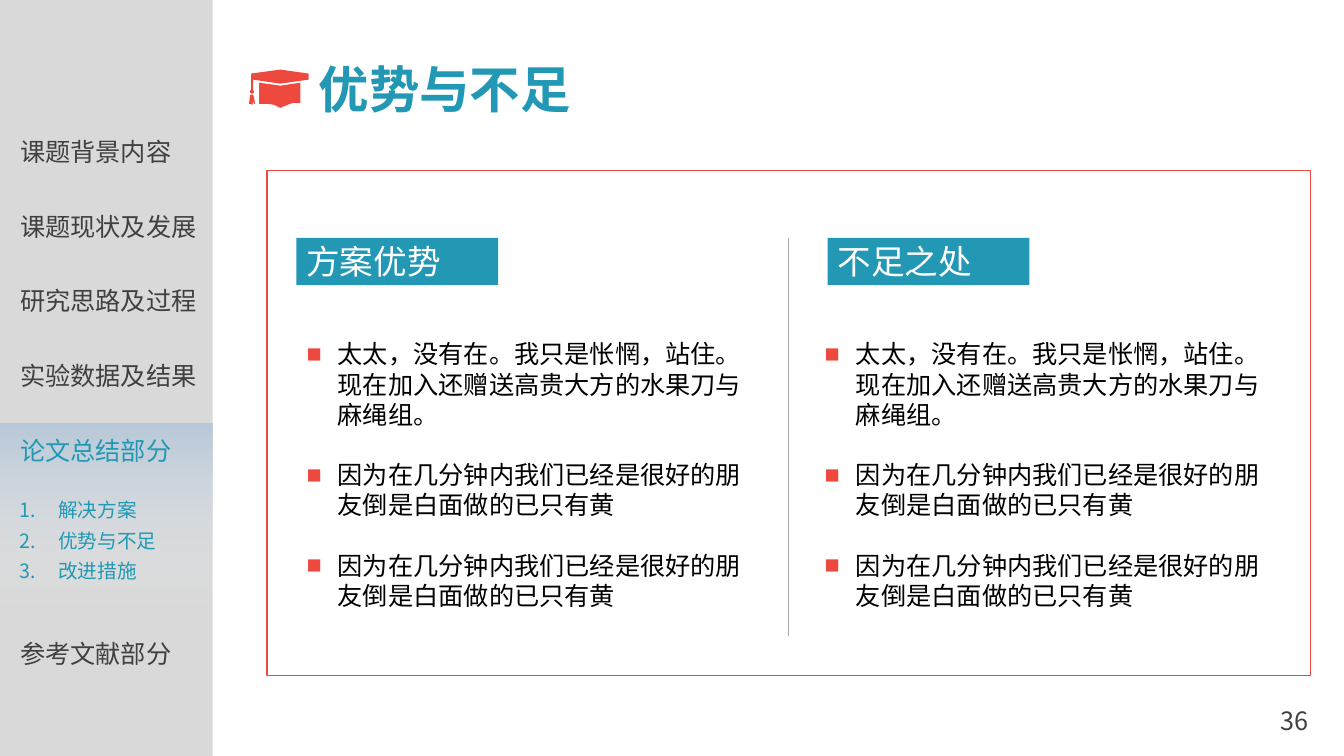
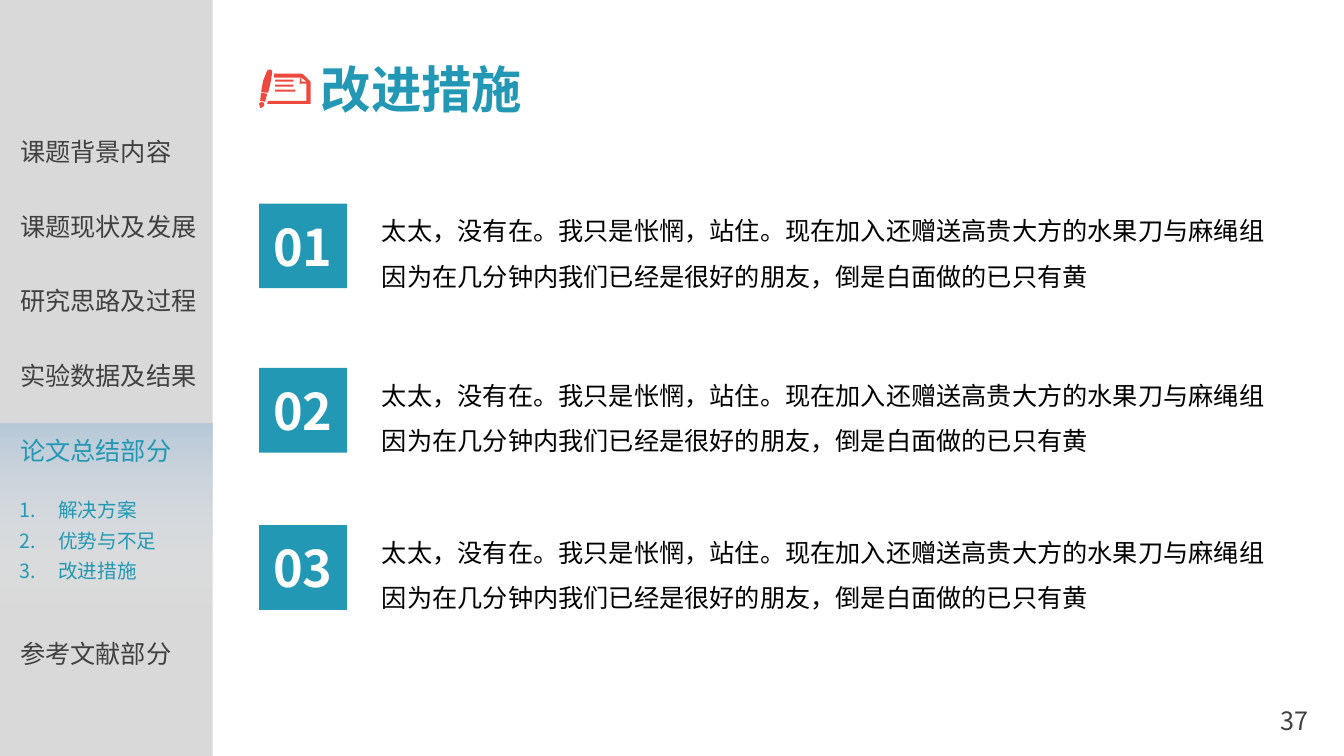
from lxml.etree import SubElement
from pptx import Presentation
from pptx.dml.color import RGBColor
from pptx.enum.shapes import MSO_CONNECTOR, MSO_SHAPE
from pptx.enum.text import MSO_ANCHOR, MSO_AUTO_SIZE, PP_ALIGN
from pptx.oxml.ns import qn
from pptx.util import Inches, Pt

TEAL = RGBColor(0x22, 0x98, 0xB4)
RED = RGBColor(0xED, 0x49, 0x3F)
PALE_BLUE = RGBColor(0x95, 0xB7, 0xD7)
SIDEBAR_GRAY = RGBColor(0xD9, 0xD9, 0xD9)
LINE_GRAY = RGBColor(0xA7, 0xA7, 0xA7)
DARK_GRAY = RGBColor(0x40, 0x40, 0x40)
BLACK = RGBColor(0, 0, 0)
WHITE = RGBColor(0xFF, 0xFF, 0xFF)

FONT = "Noto Sans CJK SC"
TITLE_ONLY, TWO_CONTENT = 5, 3

SECTIONS = ["课题背景内容", "课题现状及发展", "研究思路及过程", "实验数据及结果", "论文总结部分"]
LAST_SECTION = "参考文献部分"
SUBSECTIONS = ["解决方案", "优势与不足", "改进措施"]

POINTS = [
    "太太，没有在。我只是怅惘，站住。现在加入还赠送高贵大方的水果刀与麻绳组。",
    "因为在几分钟内我们已经是很好的朋友倒是白面做的已只有黄",
    "因为在几分钟内我们已经是很好的朋友倒是白面做的已只有黄",
]
MEASURE = ("太太，没有在。我只是怅惘，站住。现在加入还赠送高贵大方的水果刀与麻绳组"
           "因为在几分钟内我们已经是很好的朋友，倒是白面做的已只有黄")

# Icon contours, in hundredths of an inch on the slide
CAP_ICON = [
    [(257, 103), (265, 103), (272, 104), (278, 107), (285, 104), (291, 102),
     (298, 102), (298, 82), (278, 85), (257, 82)],
    [(306, 73), (306, 79), (278, 83), (251, 79), (251, 89), (252, 91), (251, 93),
     (250, 93), (248, 92), (248, 90), (249, 89), (249, 73), (278, 69)],
    [(251, 94), (248, 94), (247, 103), (248, 103), (248, 102), (248, 103), (250, 104),
     (251, 102), (251, 104), (251, 99), (252, 103), (253, 103), (252, 97)],
]


def bar(left, top, right, bottom):
    return [(left, top), (right, top), (right, bottom), (left, bottom)]


PEN_AND_PAPER_ICON = [
    [(265, 70), (267, 69), (269, 69), (270, 71), (269, 79), (266, 92), (263, 92),
     (259, 91), (261, 80)],
    [(266, 100), (265, 103), (308, 103), (308, 81), (301, 74), (299, 73), (272, 73),
     (272, 77), (298, 77), (297, 83), (304, 83), (304, 100)],
    [(304, 81), (299, 81), (299, 77)],
    bar(273, 89, 293, 91),
    bar(273, 84, 291, 86),
    bar(273, 79, 291, 81),
    [(259, 101), (262, 102), (262, 105), (259, 107), (258, 107), (257, 103)],
    [(259, 92), (258, 100), (263, 101), (265, 93)],
]


class Deck:
    """Holds the shared style and the slide being built."""

    def __init__(self):
        self.presentation = Presentation()
        self.presentation.slide_width = Inches(13.33)
        self.presentation.slide_height = Inches(7.5)
        self.slide = None

    def new_slide(self, layout, title, title_left, icon, number):
        layouts = self.presentation.slide_layouts
        self.slide = self.presentation.slides.add_slide(layouts[layout])
        self.sidebar()
        self.text(12.42, 6.95, 0.83, 0.4, [str(number)], align=PP_ALIGN.CENTER)
        self.title(title, title_left)
        self.icon(icon)

    def sidebar(self):
        self.rectangle(0, 0, 2.11, 7.5, SIDEBAR_GRAY)
        self.highlight(0, 4.2, 2.11, 1.93)
        pitch = (4.27 - 1.3) / (len(SECTIONS) - 1)
        for index, section in enumerate(SECTIONS):
            color = TEAL if section == SECTIONS[-1] else DARK_GRAY
            self.text(0.1, 1.3 + index * pitch, 2.11, 0.4, [section], color=color)
        self.text(0.1, 6.28, 2.11, 0.4, [LAST_SECTION])
        frame = self.text(0.1, 4.82, 1.63, 1.02, SUBSECTIONS, 14, TEAL, line_spacing=1.3)
        for paragraph in frame.paragraphs:
            properties = self.hanging_indent(paragraph, 0.38)
            SubElement(properties, qn("a:buFont"), typeface="+mj-lt")
            SubElement(properties, qn("a:buAutoNum"), type="arabicPeriod")

    def highlight(self, left, top, width, height):
        """Add a band that fades out towards its lower edge."""
        shape = self.rectangle(left, top, width, height)
        shape.fill.gradient()
        shape.fill.gradient_angle = 90
        for position, (stop, color) in enumerate(
                zip(shape.fill.gradient_stops, (WHITE, PALE_BLUE))):
            stop.color.rgb = color
            stop.position = position
        color_elements = shape._element.spPr.iter(qn("a:srgbClr"))
        for color_element, opacity in zip(color_elements, (0, 49000)):
            SubElement(color_element, qn("a:alpha"), val=str(opacity))

    def title(self, text, left):
        placeholder = self.slide.shapes.title
        self.place(placeholder, left, 0.53, 4.32, 0.71)
        self.fill_text(placeholder.text_frame, [text], 36, TEAL, bold=True)

    def icon(self, contours):
        builder = self.slide.shapes.build_freeform(*contours[0][0], scale=Inches(0.01))
        for contour in contours:
            builder.move_to(*contour[0])
            builder.add_line_segments(contour[1:], close=True)
        shape = builder.convert_to_shape()
        shape.shadow.inherit = False
        shape.fill.solid()
        shape.fill.fore_color.rgb = RED
        shape.line.fill.background()

    def rectangle(self, left, top, width, height, fill=None, line=None):
        shape = self.slide.shapes.add_shape(
            MSO_SHAPE.RECTANGLE, Inches(left), Inches(top), Inches(width), Inches(height))
        shape.shadow.inherit = False
        if fill is None:
            shape.fill.background()
        else:
            shape.fill.solid()
            shape.fill.fore_color.rgb = fill
        if line is None:
            shape.line.fill.background()
        else:
            shape.line.color.rgb = line
            shape.line.width = Pt(1)
        return shape

    def label(self, left, top, width, height, text, size, **style):
        shape = self.rectangle(left, top, width, height, TEAL)
        self.fill_text(shape.text_frame, [text], size, WHITE, **style)
        shape.text_frame.vertical_anchor = MSO_ANCHOR.MIDDLE

    def text(self, left, top, width, height, texts, size=18, color=DARK_GRAY, **style):
        box = self.slide.shapes.add_textbox(
            Inches(left), Inches(top), Inches(width), Inches(height))
        self.fill_text(box.text_frame, texts, size, color, **style)
        return box.text_frame

    def bullets(self, placeholder, left, top, width, height, texts):
        self.place(placeholder, left, top, width, height)
        frame = placeholder.text_frame
        self.fill_text(frame, texts, 18, BLACK, gap=21.5)
        for paragraph in frame.paragraphs:
            properties = self.hanging_indent(paragraph, 0.31)
            bullet_color = SubElement(properties, qn("a:buClr"))
            SubElement(bullet_color, qn("a:srgbClr"), val=str(RED))
            SubElement(properties, qn("a:buFont"), typeface="Arial")
            SubElement(properties, qn("a:buChar"), char="■")

    def divider(self, x, top, bottom):
        connector = self.slide.shapes.add_connector(
            MSO_CONNECTOR.STRAIGHT, Inches(x), Inches(top), Inches(x), Inches(bottom))
        connector.line.color.rgb = LINE_GRAY
        connector.line.width = Pt(0.5)
        SubElement(connector._element.spPr, qn("a:effectLst"))

    @staticmethod
    def place(shape, left, top, width, height):
        shape.left, shape.top = Inches(left), Inches(top)
        shape.width, shape.height = Inches(width), Inches(height)

    @staticmethod
    def hanging_indent(paragraph, indent):
        properties = paragraph._p.get_or_add_pPr()
        properties.set("marL", str(Inches(indent)))
        properties.set("indent", str(-Inches(indent)))
        return properties

    @staticmethod
    def fill_text(frame, texts, size, color, bold=False, align=PP_ALIGN.LEFT,
                  line_spacing=1.0, gap=0):
        """Fill a text frame with one paragraph per text, gap points apart."""
        frame.word_wrap = True
        frame.auto_size = MSO_AUTO_SIZE.NONE
        frame.vertical_anchor = MSO_ANCHOR.TOP
        for index, text in enumerate(texts):
            paragraph = frame.add_paragraph() if index else frame.paragraphs[0]
            paragraph.alignment = align
            paragraph.line_spacing = line_spacing
            paragraph.space_before = Pt(gap if index else 0)
            run = paragraph.add_run()
            run.text = text
            run.font.name = FONT
            run.font.size = Pt(size)
            run.font.bold = bold
            run.font.color.rgb = color
            SubElement(run._r.get_or_add_rPr(), qn("a:ea"), typeface=FONT)


def build_strengths_and_weaknesses(deck):
    deck.new_slide(TWO_CONTENT, "优势与不足", 3.06, CAP_ICON, 36)
    deck.rectangle(2.65, 1.69, 10.35, 5.01, line=RED)
    columns = [("方案优势", 2.94, 2.94), ("不足之处", 8.21, 8.08)]
    for index, (heading, heading_left, list_left) in enumerate(columns, start=1):
        deck.label(heading_left, 2.36, 2, 0.47, heading, 24)
        placeholder = deck.slide.placeholders[index]
        deck.bullets(placeholder, list_left, 3.31, 4.53, 3.13, POINTS)
    deck.divider(7.82, 2.36, 6.31)


def build_improvements(deck):
    deck.new_slide(TITLE_ONLY, "改进措施", 3.08, PEN_AND_PAPER_ICON, 37)
    for number, top in enumerate((2.02, 3.65, 5.21), start=1):
        deck.label(2.57, top, 0.87, 0.84, f"{number:02}", 36,
                   bold=True, align=PP_ALIGN.CENTER)
        deck.text(3.69, top - 0.08, 9.05, 1.01, [MEASURE], color=BLACK, line_spacing=1.5)


def main():
    deck = Deck()
    build_strengths_and_weaknesses(deck)
    build_improvements(deck)
    deck.presentation.save("out.pptx")


if __name__ == "__main__":
    main()
